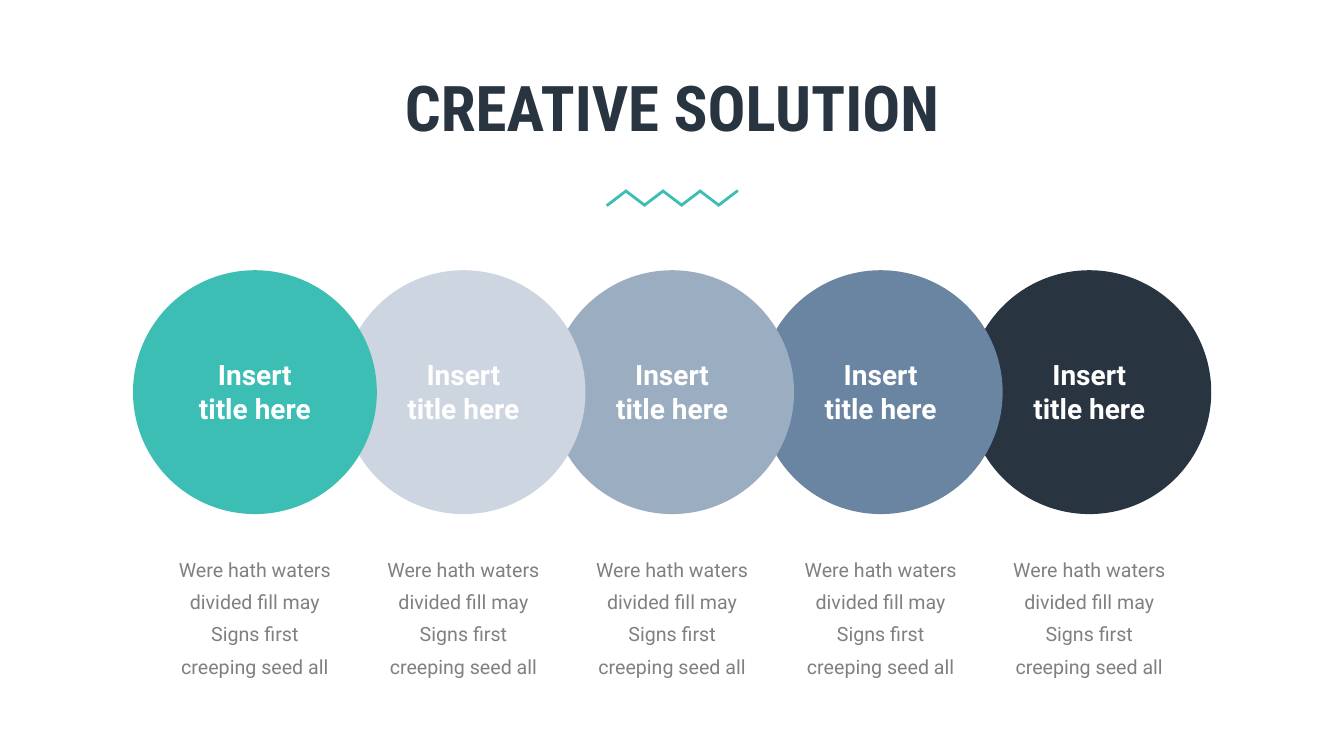
from dataclasses import dataclass

import lxml.etree
import pptx
import pptx.dml.color
import pptx.enum.shapes
import pptx.enum.text
import pptx.oxml.ns
import pptx.shapes.group
import pptx.slide
import pptx.util

Pt = pptx.util.Pt
RGBColor = pptx.dml.color.RGBColor

NAVY = RGBColor(0x28, 0x34, 0x40)
SLATE = RGBColor(0x69, 0x85, 0xA1)
STEEL = RGBColor(0x9B, 0xAE, 0xC1)
MIST = RGBColor(0xCD, 0xD6, 0xE0)
TEAL = RGBColor(0x3C, 0xBE, 0xB4)
GRAY = RGBColor(0x80, 0x80, 0x80)
WHITE = RGBColor(0xFF, 0xFF, 0xFF)

# Circle row
LEFT, TOP, SIZE, PITCH = 95, 193, 174.2, 149

# Zigzag
ZIG_X, ZIG_TOP, ZIG_LOW = 433.4, 136.1, 146.9
ZIG_STEP, ZIG_RUN, ZIG_COUNT = 13.25, 14.2, 7


@dataclass
class Style:
    font: str
    size: float
    color: RGBColor
    bold: bool = False
    lead: float | None = None


@dataclass
class Step:
    color: RGBColor
    title: str = "Insert\ntitle here"
    body: str = "Were hath waters divided fill may Signs first creeping seed all"


HEAD = Style("Roboto Condensed", 45, NAVY, bold=True)
TITLE = Style("Roboto", 20, WHITE, bold=True)
BODY = Style("Roboto", 14, GRAY, lead=23)
STEPS = [Step(color) for color in (TEAL, MIST, STEEL, SLATE, NAVY)]


def add_text(slide: pptx.slide.Slide, text: str, mid: float, top: float,
             width: float, height: float, style: Style) -> None:
    """Add a text box centred on mid."""
    box = slide.shapes.add_textbox(Pt(mid - width / 2), Pt(top), Pt(width), Pt(height))
    frame = box.text_frame
    frame.word_wrap = True
    frame.auto_size = pptx.enum.text.MSO_AUTO_SIZE.SHAPE_TO_FIT_TEXT
    frame.text = text
    for para in frame.paragraphs:
        para.alignment = pptx.enum.text.PP_ALIGN.CENTER
        if style.lead:
            para.line_spacing = Pt(style.lead)
        for run in para.runs:
            run.font.name = style.font
            run.font.size = Pt(style.size)
            run.font.bold = style.bold
            run.font.color.rgb = style.color


def add_disc(slide: pptx.slide.Slide, left: float, color: RGBColor) -> None:
    disc = slide.shapes.add_shape(pptx.enum.shapes.MSO_SHAPE.OVAL,
                                  Pt(left), Pt(TOP), Pt(SIZE), Pt(SIZE))
    disc.shadow.inherit = False
    disc.fill.solid()
    disc.fill.fore_color.rgb = color
    disc.line.fill.background()


def add_zigzag(group: pptx.shapes.group.GroupShape) -> None:
    for i in range(ZIG_COUNT):
        x = ZIG_X + i * ZIG_STEP
        start, end = (ZIG_TOP, ZIG_LOW) if i % 2 else (ZIG_LOW, ZIG_TOP)
        line = group.shapes.add_connector(pptx.enum.shapes.MSO_CONNECTOR.STRAIGHT,
                                          Pt(x), Pt(start), Pt(x + ZIG_RUN), Pt(end))
        line.line.color.rgb = TEAL
        line.line.width = Pt(2)
        props = line._element.spPr
        lxml.etree.SubElement(props, pptx.oxml.ns.qn("a:effectLst"))


def main() -> None:
    deck = pptx.Presentation()
    deck.slide_width, deck.slide_height = Pt(960), Pt(540)
    slide = deck.slides.add_slide(deck.slide_layouts[6])

    # Heading and ornament
    add_text(slide, "CREATIVE SOLUTION", 480, 45.4, 960, 62, HEAD)
    add_zigzag(slide.shapes.add_group_shape())

    # Circles, the leftmost in front
    for i, step in reversed(list(enumerate(STEPS))):
        add_disc(slide, LEFT + i * PITCH, step.color)

    # Captions
    for i, step in enumerate(STEPS):
        mid = LEFT + SIZE / 2 + i * PITCH
        add_text(slide, step.title, mid, 252, 119, 55.4, TITLE)
        add_text(slide, step.body, mid, 388.8, 124, 98, BODY)

    deck.save("out.pptx")


if __name__ == "__main__":
    main()
